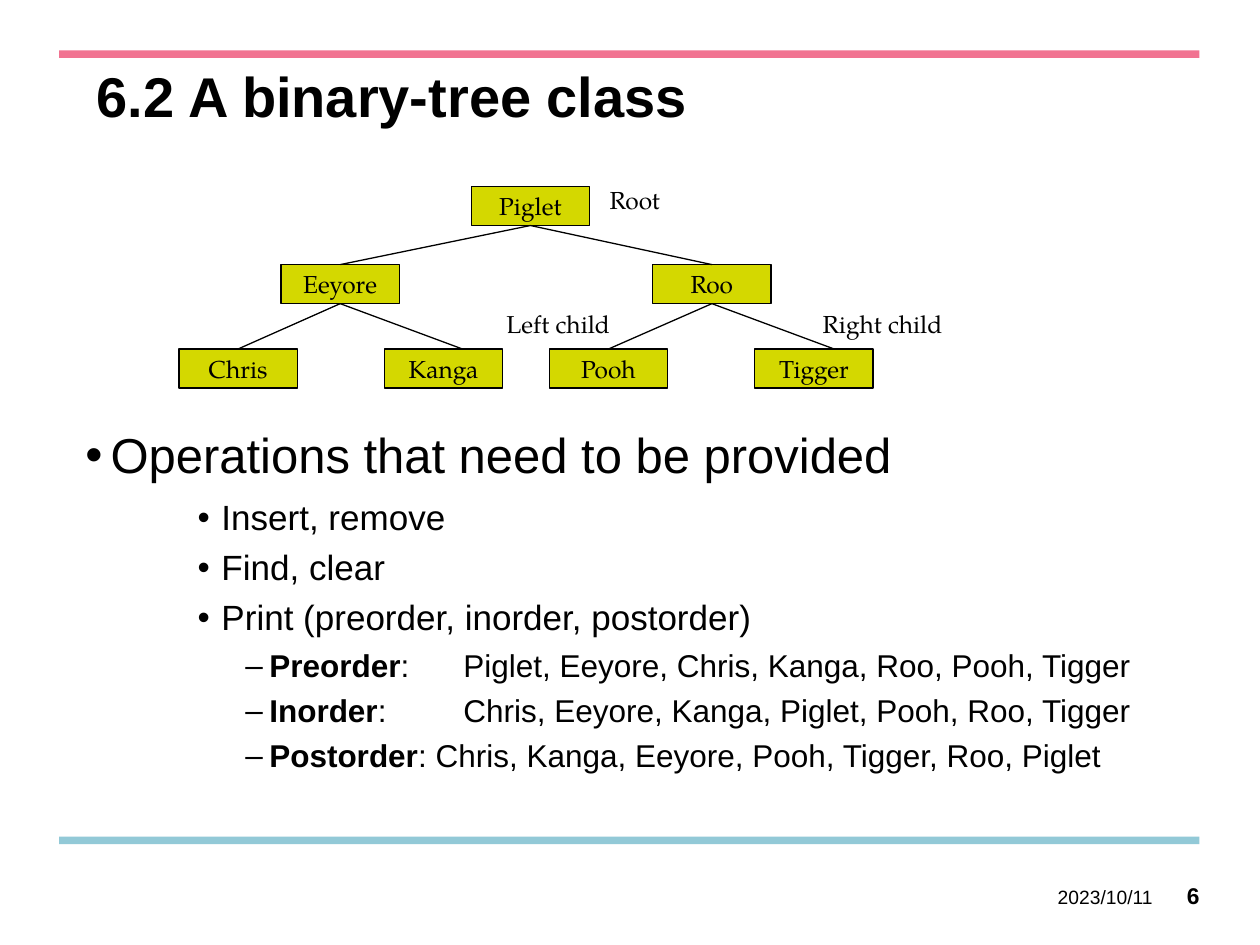
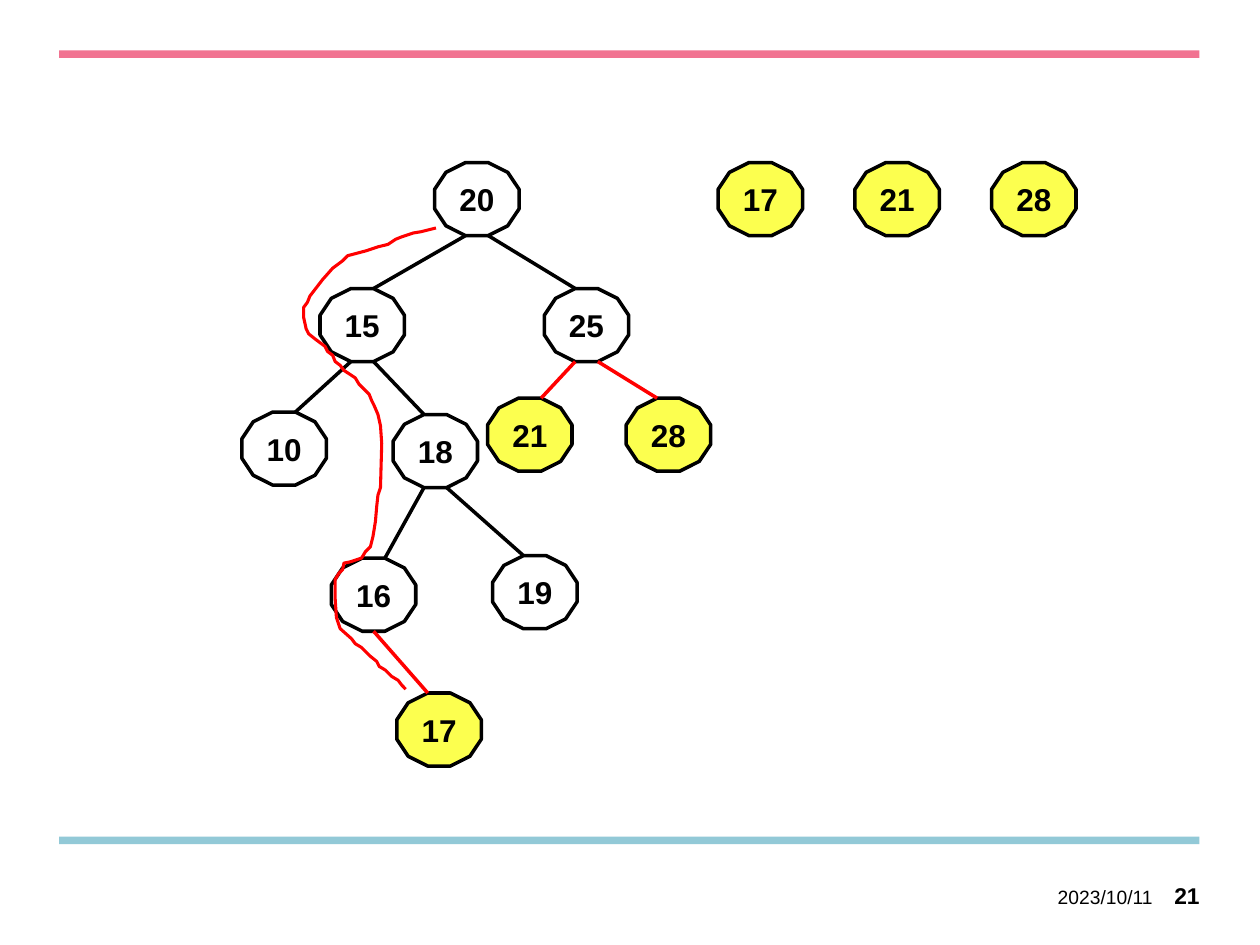
from pptx import Presentation
from pptx.dml.color import RGBColor
from pptx.enum.shapes import MSO_CONNECTOR, MSO_SHAPE
from pptx.enum.text import MSO_ANCHOR, PP_ALIGN
from pptx.oxml.ns import qn
from pptx.util import Inches, Pt
from lxml.etree import SubElement

# Shared style
SANS, SERIF = "Arial", "TeX Gyre Pagella"
BLACK, RED, PINK, BLUE = "000000", "FF0000", "F17391", "92C9D7"
OLIVE, YELLOW = "D4D800", "FCFF4F"
BANDS = [(6.64, BLUE), (0.4, PINK)]
DATE = "2023/10/11"

# Slide 1: name tree, labels and operations
TITLE = "6.2 A binary-tree class"
BOX_W, BOX_H = 0.94, 0.31
NAMES = {
    "Piglet": (3.74, 1.48), "Eeyore": (2.23, 2.1), "Roo": (5.18, 2.1),
    "Chris": (1.42, 2.77), "Kanga": (3.05, 2.77),
    "Pooh": (4.36, 2.77), "Tigger": (5.99, 2.77),
}
# parent, child, distance of the line's end from the child's middle
NAME_EDGES = [
    ("Piglet", "Eeyore", 0), ("Piglet", "Roo", 0),
    ("Eeyore", "Chris", 0), ("Eeyore", "Kanga", 0.15),
    ("Roo", "Pooh", 0), ("Roo", "Tigger", 0.16),
]
LABELS = [("Root", 4.74, 1.42), ("Left child", 3.92, 2.4), ("Right child", 6.43, 2.4)]
# level: size, left margin, hanging indent, bullet
LEVELS = {0: (28, 0.2, 0.2, "•"), 2: (20, 1.08, 0.19, "•"), 3: (18, 1.46, 0.19, "–")}
OPERATIONS = [
    (0, "", "Operations that need to be provided"),
    (2, "", "Insert, remove"),
    (2, "", "Find, clear"),
    (2, "", "Print (preorder, inorder, postorder)"),
    (3, "Preorder", ": \tPiglet, Eeyore, Chris, Kanga, Roo, Pooh, Tigger"),
    (3, "Inorder", ": \tChris, Eeyore, Kanga, Piglet, Pooh, Roo, Tigger"),
    (3, "Postorder", ": Chris, Kanga, Eeyore, Pooh, Tigger, Roo, Piglet"),
]

# Slide 2: search tree, values to insert and the search path
NODE_W, NODE_H, CORNER = 0.67, 0.58, 0.09
TREE = {
    20: (3.45, 1.29), 15: (2.54, 2.29), 25: (4.32, 2.29), 10: (1.92, 3.27),
    18: (3.12, 3.29), 16: (2.63, 4.43), 19: (3.91, 4.41),
    21: (3.87, 3.16), 28: (4.97, 3.16), 17: (3.15, 5.5),
}
TREE_EDGES = [(20, 15), (20, 25), (15, 10), (15, 18), (18, 16), (18, 19),
              (25, 21), (25, 28), (16, 17)]
INSERTED = [17, 21, 28]
QUEUE_X, QUEUE_Y, QUEUE_STEP = 5.7, 1.29, 1.085
SEARCH_PATH = [
    (3.46, 1.81), (3.34, 1.84), (3.28, 1.85), (3.19, 1.88), (3.14, 1.9), (3.08, 1.94),
    (3, 1.96), (2.91, 1.99), (2.76, 2.03), (2.72, 2.07), (2.64, 2.13), (2.56, 2.22),
    (2.46, 2.35), (2.44, 2.4), (2.41, 2.44), (2.41, 2.52), (2.43, 2.61), (2.45, 2.65),
    (2.5, 2.69), (2.58, 2.75), (2.6, 2.79), (2.64, 2.82), (2.66, 2.87), (2.7, 2.9),
    (2.73, 2.94), (2.82, 3), (2.85, 3.05), (2.93, 3.13), (2.95, 3.18), (2.97, 3.22),
    (3, 3.29), (3.02, 3.38), (3.03, 3.52), (3.02, 3.87), (3, 3.93), (2.99, 4.02),
    (2.98, 4.14), (2.96, 4.26), (2.94, 4.34), (2.9, 4.38), (2.87, 4.43), (2.78, 4.46),
    (2.73, 4.47), (2.72, 4.52), (2.69, 4.55), (2.66, 4.6), (2.66, 4.75), (2.67, 4.9),
    (2.7, 4.99), (2.79, 5.07), (2.82, 5.11), (2.87, 5.14), (2.94, 5.21), (2.99, 5.25),
    (3.01, 5.29), (3.06, 5.32), (3.11, 5.37), (3.16, 5.4), (3.19, 5.44), (3.22, 5.47),
]


def rgb(color):
    return RGBColor.from_string(color)


def write(tf, text, size=18, font=SANS, bold=False, align=PP_ALIGN.LEFT,
          anchor=MSO_ANCHOR.TOP, wrap=True, insets=(0.1, 0.05, 0.1, 0.05), line=None):
    """Fill a text frame; text is one string or a list of (level, bold part, rest)."""
    tf.word_wrap, tf.vertical_anchor = wrap, anchor
    tf.margin_left, tf.margin_top, tf.margin_right, tf.margin_bottom = map(Inches, insets)
    rows = [(None, "", text)] if isinstance(text, str) else text
    for i, (level, strong, rest) in enumerate(rows):
        p = tf.add_paragraph() if i else tf.paragraphs[0]
        p.alignment = align
        if line:
            p.line_spacing = line
        if level is not None:
            size = add_bullet(p, level)
        for part, heavy in ((strong, True), (rest, bold)):
            if part:
                r = p.add_run()
                r.text = part
                r.font.size, r.font.name, r.font.bold = Pt(size), font, heavy
                r.font.color.rgb = rgb(BLACK)


def add_bullet(p, level):
    size, left, hang, char = LEVELS[level]
    p.level = level
    p.space_after = Pt(round(size * 0.345, 1))
    pPr = p._p.get_or_add_pPr()
    pPr.set("marL", str(Inches(left)))
    pPr.set("indent", str(-Inches(hang)))
    pPr.set("defTabSz", str(Inches(1)))
    SubElement(pPr, qn("a:buFont")).set("typeface", SANS)
    SubElement(pPr, qn("a:buChar")).set("char", char)
    return size


def add_text(s, text, x, y, w, h, **fmt):
    write(s.shapes.add_textbox(*map(Inches, (x, y, w, h))).text_frame, text, **fmt)


def style(sp, fill=None, line=None, width=0.75):
    sp.shadow.inherit = False
    if fill:
        sp.fill.solid()
        sp.fill.fore_color.rgb = rgb(fill)
    else:
        sp.fill.background()
    if line:
        sp.line.color.rgb, sp.line.width = rgb(line), Pt(width)
    else:
        sp.line.fill.background()


def add_box(s, kind, x, y, w, h, fill=None, line=None, width=0.75, text="", **fmt):
    sp = s.shapes.add_shape(kind, *map(Inches, (x, y, w, h)))
    style(sp, fill, line, width)
    if text:
        write(sp.text_frame, text, align=PP_ALIGN.CENTER, anchor=MSO_ANCHOR.MIDDLE,
              wrap=False, **fmt)
    return sp


def add_line(s, x1, y1, x2, y2, color=BLACK, width=0.75):
    c = s.shapes.add_connector(MSO_CONNECTOR.STRAIGHT, *map(Inches, (x1, y1, x2, y2)))
    c.line.color.rgb, c.line.width = rgb(color), Pt(width)
    SubElement(c._element.spPr, qn("a:effectLst"))
    return c


def add_slide(prs, number):
    """Blank slide with the two bands, the date and the page number."""
    s = prs.slides.add_slide(prs.slide_layouts[6])
    for y, color in BANDS:
        add_box(s, MSO_SHAPE.RECTANGLE, 0.47, y, 9.05, 0.06, color)
    add_text(s, DATE, 8.19, 6.98, 0.96, 0.27, size=11, align=PP_ALIGN.RIGHT,
             anchor=MSO_ANCHOR.MIDDLE, insets=(0, 0, 0, 0))
    add_text(s, number, 9.13, 6.98, 0.39, 0.27, size=13, bold=True,
             align=PP_ALIGN.RIGHT, insets=(0, 0.02, 0, 0))
    return s


def build_class_slide(prs):
    s = add_slide(prs, "6")
    add_text(s, TITLE, 0.67, 0.5, 8.5, 0.92, size=32, bold=True, line=Pt(34))
    add_text(s, OPERATIONS, 0.58, 3.37, 8.83, 3.21, line=0.9)

    # Name boxes and their labels
    boxes = {name: add_box(s, MSO_SHAPE.RECTANGLE, x, y, BOX_W, BOX_H, OLIVE, BLACK,
                           text=name, size=14, font=SERIF)
             for name, (x, y) in NAMES.items()}
    for label, x, y in LABELS:
        add_text(s, label, x, y, 1.32, 0.37, size=14, font=SERIF)

    # Lines from parent to child
    for parent, child, shift in NAME_EDGES:
        (px, py), (cx, cy) = NAMES[parent], NAMES[child]
        c = add_line(s, px + BOX_W / 2, py + BOX_H, cx + BOX_W / 2 + shift, cy)
        c.begin_connect(boxes[parent], 2)
        if not shift:
            c.end_connect(boxes[child], 0)


def add_node(s, value, x, y):
    add_box(s, MSO_SHAPE.DODECAGON, x, y, NODE_W, NODE_H,
            YELLOW if value in INSERTED else None, BLACK, 2, str(value), bold=True)


def build_insert_slide(prs):
    s = add_slide(prs, "21")
    for value, (x, y) in TREE.items():
        add_node(s, value, x, y)
    for i, value in enumerate(INSERTED):
        add_node(s, value, QUEUE_X + i * QUEUE_STEP, QUEUE_Y)

    # Edges run between the flat corners of the nodes; an only child hangs from the middle
    parents = [parent for parent, _ in TREE_EDGES]
    for parent, child in TREE_EDGES:
        (px, py), (cx, cy) = TREE[parent], TREE[child]
        side = CORNER if cx > px else -CORNER
        start = side if parents.count(parent) > 1 else 0
        add_line(s, px + NODE_W / 2 + start, py + NODE_H, cx + NODE_W / 2 - side, cy,
                 RED if child in INSERTED else BLACK, 2)

    # Search path down to the new node
    points = [(Inches(x), Inches(y)) for x, y in SEARCH_PATH]
    builder = s.shapes.build_freeform(*points[0])
    builder.add_line_segments(points[1:], close=False)
    style(builder.convert_to_shape(), line=RED, width=1.75)


def main():
    prs = Presentation()
    prs.slide_width, prs.slide_height = Inches(10), Inches(7.5)
    build_class_slide(prs)
    build_insert_slide(prs)
    prs.save("out.pptx")


if __name__ == "__main__":
    main()
